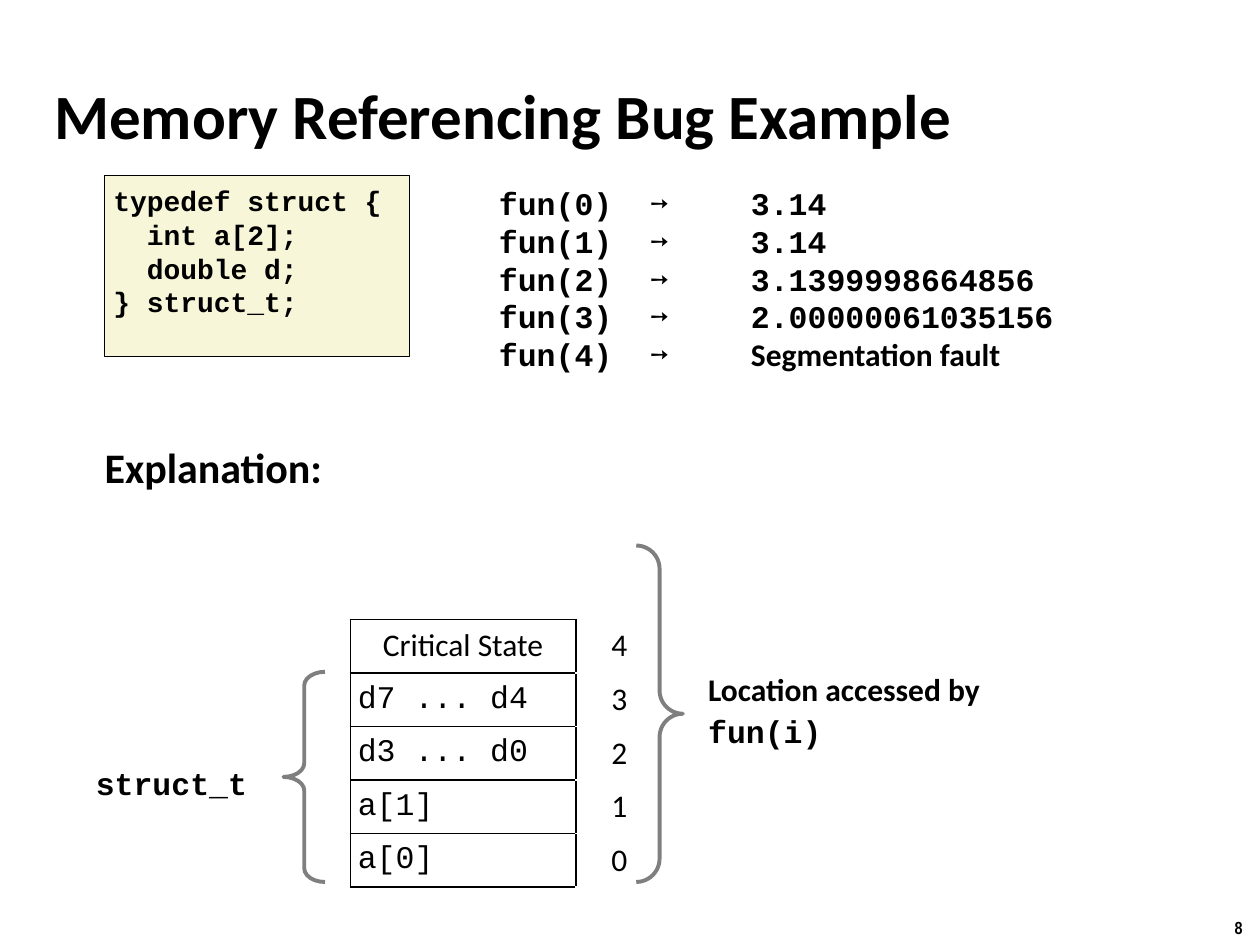
import pptx
import pptx.util
from lxml import etree
from pptx.dml.color import RGBColor
from pptx.enum.shapes import MSO_SHAPE
from pptx.enum.text import MSO_ANCHOR, MSO_AUTO_SIZE, PP_ALIGN
from pptx.oxml.ns import qn

TITLE = "Memory Referencing Bug Example"
STRUCT_CODE = ["typedef struct {", "  int a[2];", "  double d;", "} struct_t;"]
CALLS = [
    ("fun(0)", "3.14"),
    ("fun(1)", "3.14"),
    ("fun(2)", "3.1399998664856"),
    ("fun(3)", "2.00000061035156"),
    ("fun(4)", "Segmentation fault"),
]
MEMORY = ["Critical State", "d7 ... d4", "d3 ... d0", "a[1]", "a[0]"]


class Theme:
    sans, mono, narrow = "Calibri", "Courier New", "Arial Narrow"
    black, code_fill, brace = "000000", "F8F6D9", "7F7F7F"
    title, heading, body, code, page = 36, 24, 18, 16, 10


inch = pptx.util.Inches


def color(value):
    return RGBColor.from_string(value)


def style(p, font, size, bold=True, align=PP_ALIGN.LEFT):
    p.alignment = align
    p.font.name, p.font.size, p.font.bold = font, pptx.util.Pt(size), bold
    p.font.color.rgb = color(Theme.black)


def set_frame(tf, inset, wrap=True, anchor=MSO_ANCHOR.TOP):
    tf.margin_left = tf.margin_right = tf.margin_top = tf.margin_bottom = inch(inset)
    tf.word_wrap, tf.vertical_anchor = wrap, anchor
    tf.auto_size = MSO_AUTO_SIZE.NONE


def add_text(s, box, lines, font, size, inset=0.04, wrap=True, align=PP_ALIGN.LEFT):
    tf = s.shapes.add_textbox(*map(inch, box)).text_frame
    set_frame(tf, inset, wrap)
    tf.text = "\n".join(lines)
    for p in tf.paragraphs:
        style(p, font, size, align=align)
    return tf


def add_tabs(p, stops):
    tabs = etree.SubElement(p._p.get_or_add_pPr(), qn("a:tabLst"))
    for stop in stops:
        etree.SubElement(tabs, qn("a:tab"), pos=str(inch(stop)), algn="l")


def add_brace(s, kind, box, curve):
    sp = s.shapes.add_shape(kind, *map(inch, box))
    sp.adjustments[0] = curve
    sp.shadow.inherit = False
    sp.fill.background()
    sp.line.color.rgb = color(Theme.brace)
    sp.line.width = pptx.util.Pt(2.25)


def add_borders(cell, sides):
    tcPr = cell._tc.get_or_add_tcPr()
    for i, side in enumerate(sides):
        ln = etree.Element(qn("a:ln" + side), w=str(pptx.util.Pt(1)))
        fill = etree.SubElement(ln, qn("a:solidFill"))
        etree.SubElement(fill, qn("a:srgbClr"), val=Theme.black)
        tcPr.insert(i, ln)


def add_memory_table(s, left, top, widths, row_height):
    n = len(MEMORY)
    frame = s.shapes.add_table(n, 2, inch(left), inch(top),
                               inch(sum(widths)), inch(n * row_height))
    table = frame.table
    table.first_row = table.horz_banding = False
    for column, width in zip(table.columns, widths):
        column.width = inch(width)
    for i, label in enumerate(MEMORY):
        is_state = i == 0
        label_look = ((Theme.sans, PP_ALIGN.CENTER) if is_state
                      else (Theme.mono, PP_ALIGN.LEFT))
        columns = [(label, *label_look, "LRTB"),
                   (str(n - 1 - i), Theme.sans, PP_ALIGN.RIGHT, "L")]
        for j, (text, font, align, sides) in enumerate(columns):
            cell = table.cell(i, j)
            cell.text = text
            cell.margin_left = cell.margin_right = inch(0.06)
            cell.margin_top = cell.margin_bottom = inch(0.06)
            cell.vertical_anchor = MSO_ANCHOR.MIDDLE
            cell.fill.background()
            add_borders(cell, sides)
            style(cell.text_frame.paragraphs[0], font, Theme.body, False, align)


def main():
    prs = pptx.Presentation()
    prs.slide_width, prs.slide_height = inch(10), inch(7.5)
    s = prs.slides.add_slide(prs.slide_layouts[5])

    title = s.shapes.title
    title.left, title.top, title.width, title.height = map(inch, (0.39, 0.06, 8.3, 1.69))
    title.text = TITLE
    set_frame(title.text_frame, 0.04, anchor=MSO_ANCHOR.MIDDLE)
    style(title.text_frame.paragraphs[0], Theme.sans, Theme.title)

    code = s.shapes.add_shape(MSO_SHAPE.RECTANGLE, *map(inch, (0.83, 1.39, 2.42, 1.44)))
    code.shadow.inherit = False
    code.fill.solid()
    code.fill.fore_color.rgb = color(Theme.code_fill)
    code.line.color.rgb = color(Theme.black)
    code.line.width = pptx.util.Pt(0.5)
    set_frame(code.text_frame, 0.07)
    code.text_frame.text = "\n".join(STRUCT_CODE)
    for p in code.text_frame.paragraphs:
        style(p, Theme.mono, Theme.code)

    tf = add_text(s, (3.92, 1.42, 4.83, 1.5), [], Theme.mono, Theme.body)
    for i, (call, result) in enumerate(CALLS):
        p = tf.add_paragraph() if i else tf.paragraphs[0]
        p.add_run().text = f"{call}\t➙\t"
        r = p.add_run()
        r.text = result
        add_tabs(p, (1.2, 2))
        style(p, Theme.mono, Theme.body)
    r.font.name = Theme.sans

    add_text(s, (0.83, 3.5, 1.82, 0.49), ["Explanation:"],
             Theme.sans, Theme.heading, inset=0, wrap=False)

    row_height, bottom = 0.417, 7
    table_top = bottom - len(MEMORY) * row_height
    struct_top = table_top + row_height
    add_memory_table(s, 2.78, table_top, (1.79, 0.47), row_height)
    add_brace(s, MSO_SHAPE.LEFT_BRACE, (2.25, struct_top, 0.33, bottom - struct_top), 0.33)
    add_brace(s, MSO_SHAPE.RIGHT_BRACE, (5.05, 4.33, 0.37, bottom - 4.33), 0.5)

    tf = add_text(s, (5.58, 5.25, 2.32, 0.71), ["Location accessed by "],
                  Theme.sans, Theme.body)
    p = tf.paragraphs[0]
    p.line_spacing = 1.1
    r = p.add_run()
    r.text = "fun(i)"
    r.font.name = Theme.mono

    add_text(s, (0.72, 6.02, 1.31, 0.36), ["struct_t"], Theme.mono, Theme.body, wrap=False)
    add_text(s, (9.66, 7.23, 0.34, 0.27), ["8"], Theme.narrow, Theme.page,
             inset=0.05, wrap=False, align=PP_ALIGN.CENTER)
    prs.save("out.pptx")


if __name__ == "__main__":
    main()
